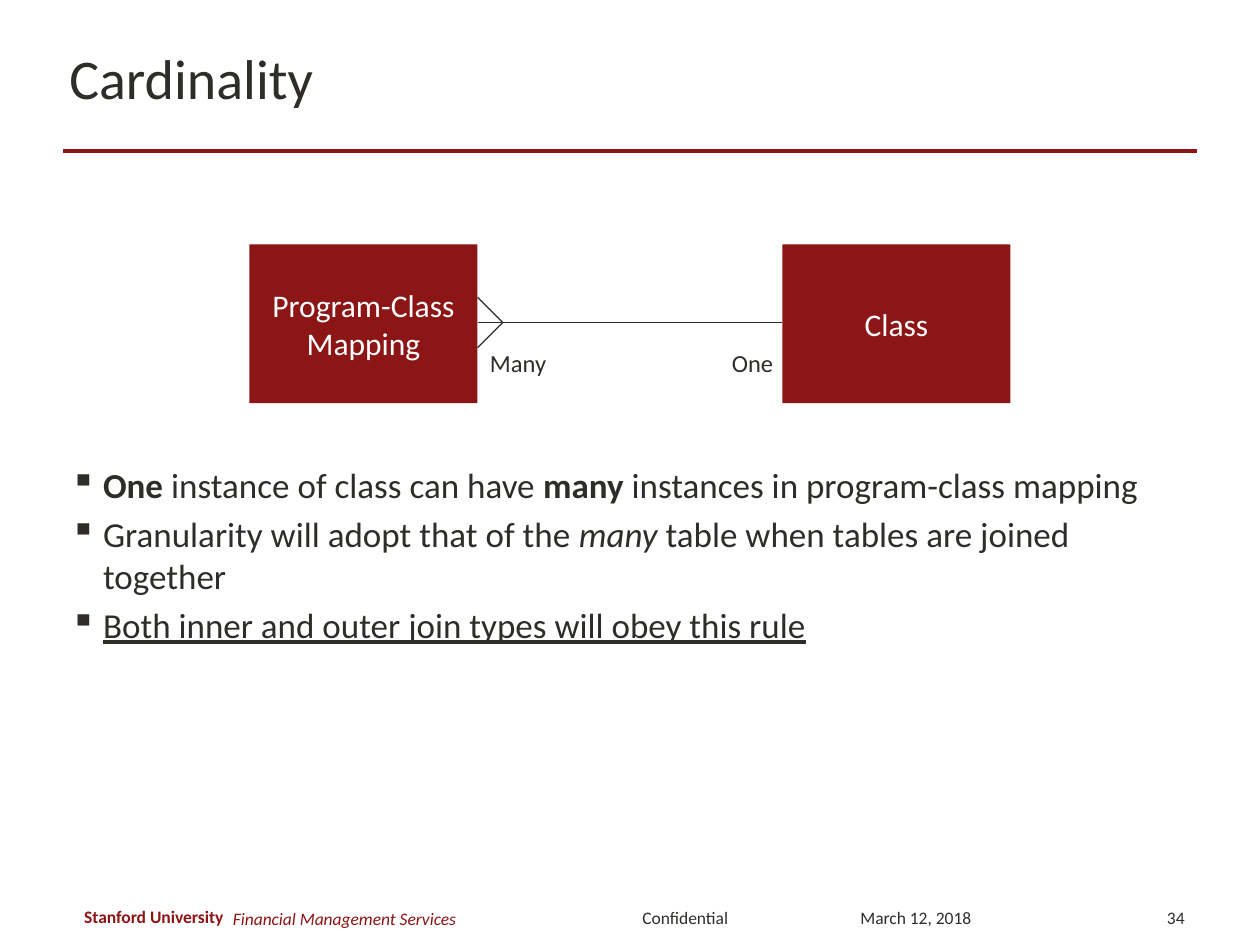
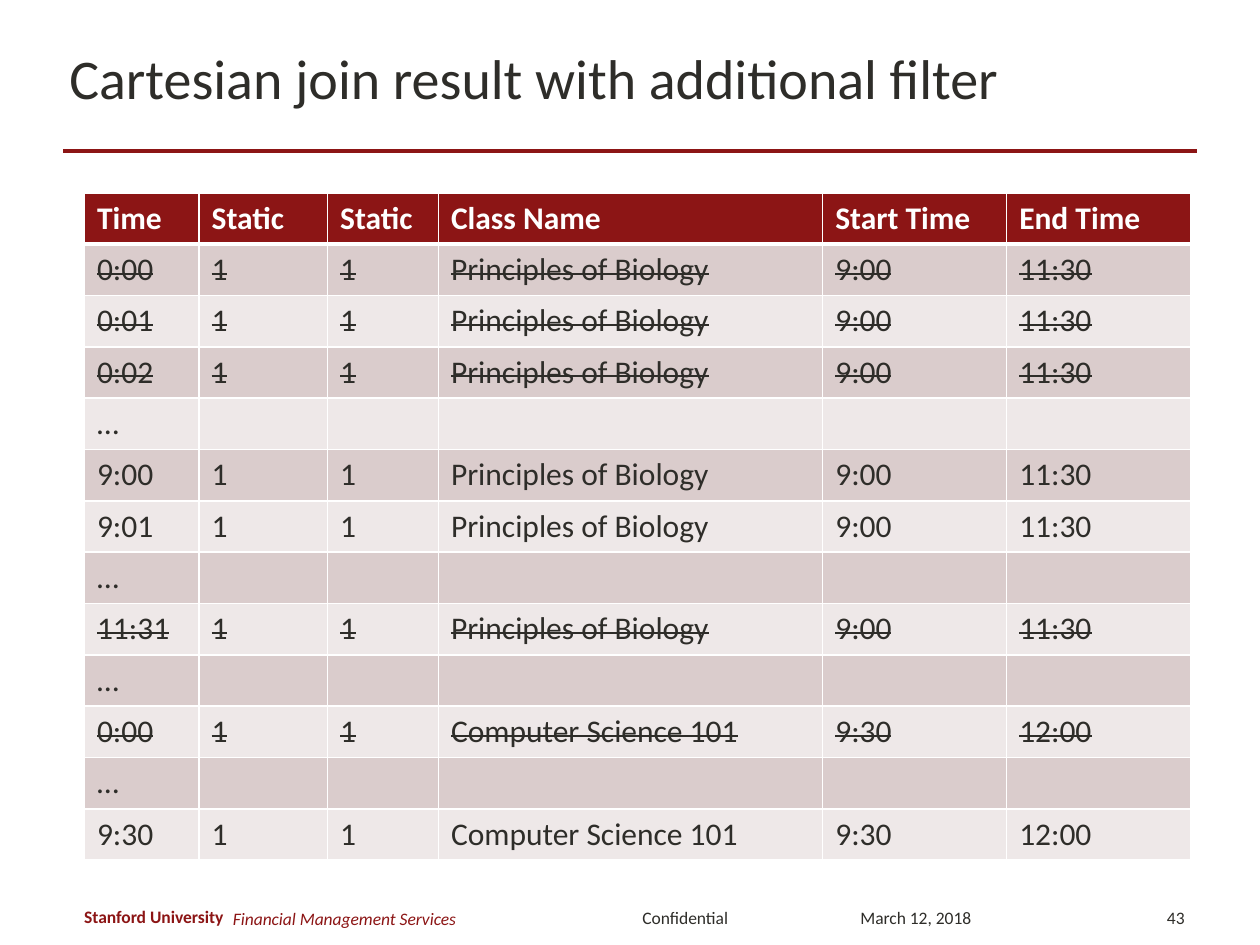
from lxml.etree import SubElement
from pptx import Presentation
from pptx.dml.color import RGBColor
from pptx.enum.shapes import MSO_CONNECTOR, MSO_SHAPE
from pptx.enum.text import MSO_ANCHOR, PP_ALIGN
from pptx.oxml.ns import qn
from pptx.util import Inches, Pt

FONT = "Calibri"
CARDINAL = "8C1515"
INK = "2E2D29"
WHITE = "FFFFFF"
BANDS = ("DACCCC", "EEE8E8")
TITLE_ONLY = 5


def rgb(value):
    return RGBColor.from_string(value)


def add_run(p, text, size, color=INK, bold=False, italic=False,
            underline=False, strike=False):
    r = p.add_run()
    r.text = text
    f = r.font
    f.name, f.size, f.color.rgb = FONT, Pt(size), rgb(color)
    f.bold, f.italic, f.underline = bold, italic, underline
    if strike:
        r._r.get_or_add_rPr().set("strike", "sngStrike")


def add_text(s, box, text, size, color=INK, align=PP_ALIGN.LEFT,
             anchor=MSO_ANCHOR.MIDDLE, wrap=True, **style):
    tf = s.shapes.add_textbox(*map(Inches, box)).text_frame
    tf.word_wrap, tf.vertical_anchor = wrap, anchor
    p = tf.paragraphs[0]
    p.alignment = align
    add_run(p, text, size, color, **style)


def add_line(s, start, end, color, width):
    line = s.shapes.add_connector(MSO_CONNECTOR.STRAIGHT,
                                  *map(Inches, (*start, *end)))
    line.line.color.rgb, line.line.width = rgb(color), Pt(width)
    SubElement(line._element.spPr, qn("a:effectLst"))


# Title, rule and footer shared by every slide
def add_base_slide(prs, title, number):
    s = prs.slides.add_slide(prs.slide_layouts[TITLE_ONLY])
    sp = s.shapes.title
    sp.left, sp.top, sp.width, sp.height = map(Inches, (0.45, 0.18, 9, 0.87))
    tf = sp.text_frame
    tf.word_wrap, tf.vertical_anchor = True, MSO_ANCHOR.MIDDLE
    p = tf.paragraphs[0]
    p.alignment = PP_ALIGN.LEFT
    add_run(p, title, 32)
    add_line(s, (0.5, 1.2), (9.5, 1.2), CARDINAL, 2.25)
    add_footer(s, 7.08, number)
    return s


def add_footer(s, top, number):
    add_text(s, (0.57, top + 0.06, 1.33, 0.27), "Stanford University", 10,
             CARDINAL, wrap=False, bold=True)
    add_text(s, (1.75, top + 0.01, 3.17, 0.4), "Financial Management Services",
             10, CARDINAL, italic=True)
    add_text(s, (5, top, 1.02, 0.4), "Confidential", 10)
    add_text(s, (6.73, top, 1.38, 0.4), "March 12, 2018", 10)
    add_text(s, (8.83, top, 0.67, 0.4), str(number), 10, align=PP_ALIGN.RIGHT)


# Two entities joined by a crow's foot relation
def add_relation(s, box, many_name, one_name):
    left, top, width, height = box
    entity_w, foot_w, foot_h = 1.81, 0.2, 0.2
    many_x, one_x = left + entity_w, left + width - entity_w
    axis = top + height / 2 - 0.01
    for x, name in ((left, many_name), (one_x, one_name)):
        sp = s.shapes.add_shape(MSO_SHAPE.RECTANGLE,
                                *map(Inches, (x, top, entity_w, height)))
        sp.shadow.inherit = False
        sp.fill.solid()
        sp.fill.fore_color.rgb = rgb(CARDINAL)
        sp.line.fill.background()
        tf = sp.text_frame
        tf.word_wrap, tf.vertical_anchor = True, MSO_ANCHOR.MIDDLE
        p = tf.paragraphs[0]
        p.alignment = PP_ALIGN.CENTER
        add_run(p, name, 18, WHITE)
    add_line(s, (one_x, axis), (many_x, axis), INK, 0.75)
    for dy in (-foot_h, foot_h):
        add_line(s, (many_x + foot_w, axis), (many_x, axis + dy), INK, 0.75)
    for x, w, label in ((many_x, 0.65, "Many"), (one_x - 0.5, 0.53, "One")):
        add_text(s, (x, axis + 0.15, w, 0.34), label, 14,
                 anchor=MSO_ANCHOR.TOP, wrap=False)


# Each bullet is a list of (text, style) runs
def add_bullets(s, box, bullets):
    tf = s.shapes.add_textbox(*map(Inches, box)).text_frame
    tf.word_wrap = True
    for i, runs in enumerate(bullets):
        p = tf.add_paragraph() if i else tf.paragraphs[0]
        pPr = p._p.get_or_add_pPr()
        pPr.set("marL", str(Inches(0.26)))
        pPr.set("indent", str(Inches(-0.26)))
        SubElement(pPr, qn("a:buChar"), char="▪")
        p.space_before = Pt(4 if i else 0)
        for text, style in runs:
            add_run(p, text, 20, **style)


def set_borders(cell, top, bottom):
    tcPr = cell._tc.get_or_add_tcPr()
    for side, width in (("L", 1), ("R", 1), ("T", top), ("B", bottom)):
        ln = SubElement(tcPr, qn(f"a:ln{side}"), w=str(Pt(width)))
        SubElement(SubElement(ln, qn("a:solidFill")), qn("a:srgbClr"), val=WHITE)


# Join result: rows are (struck out, cell texts)
def add_join_table(s, box, col_widths, header, rows):
    n = len(rows) + 1
    table = s.shapes.add_table(n, len(header), *map(Inches, box)).table
    table.horz_banding = False
    for col, width in zip(table.columns, col_widths):
        col.width = Inches(width)
    for row in table.rows:
        row.height = Inches(box[3] / n)
    for i, (struck, texts) in enumerate([(False, header), *rows]):
        head = i == 0
        for j in range(len(header)):
            cell = table.cell(i, j)
            set_borders(cell, 3 if i == 1 else 1, 3 if head else 1)
            cell.fill.solid()
            cell.fill.fore_color.rgb = rgb(CARDINAL if head else BANDS[(i - 1) % 2])
            if j < len(texts):
                add_run(cell.text_frame.paragraphs[0], texts[j], 18,
                        WHITE if head else INK, bold=head, strike=struck)


def cardinality_slide(prs):
    s = add_base_slide(prs, "Cardinality", 34)
    add_relation(s, (1.98, 1.94, 6.04, 1.26), "Program-Class Mapping", "Class")
    bold, italic, underline = {"bold": True}, {"italic": True}, {"underline": True}
    add_bullets(s, (0.46, 3.63, 9, 2.72), [
        [("One", bold), (" instance of class can have ", {}), ("many", bold),
         (" instances in program-class mapping", {})],
        [("Granularity will adopt that of the ", {}), ("many", italic),
         (" table when tables are joined together", {})],
        [("Both inner and outer join types will obey this rule", underline)],
    ])


def cartesian_slide(prs):
    s = add_base_slide(prs, "Cartesian join result with additional filter", 43)
    biology = ("1", "1", "Principles of Biology", "9:00", "11:30")
    computing = ("1", "1", "Computer Science 101", "9:30", "12:00")
    gap = (False, ("…",))
    add_join_table(
        s, (0.67, 1.53, 8.78, 5.3), (0.91, 1.02, 0.88, 3.05, 1.46, 1.46),
        ("Time", "Static", "Static", "Class Name", "Start Time", "End Time"),
        [
            (True, ("0:00", *biology)),
            (True, ("0:01", *biology)),
            (True, ("0:02", *biology)),
            gap,
            (False, ("9:00", *biology)),
            (False, ("9:01", *biology)),
            gap,
            (True, ("11:31", *biology)),
            gap,
            (True, ("0:00", *computing)),
            gap,
            (False, ("9:30", *computing)),
        ])


def main():
    prs = Presentation()
    prs.slide_width, prs.slide_height = Inches(10), Inches(7.5)
    cardinality_slide(prs)
    cartesian_slide(prs)
    prs.save("out.pptx")


if __name__ == "__main__":
    main()
